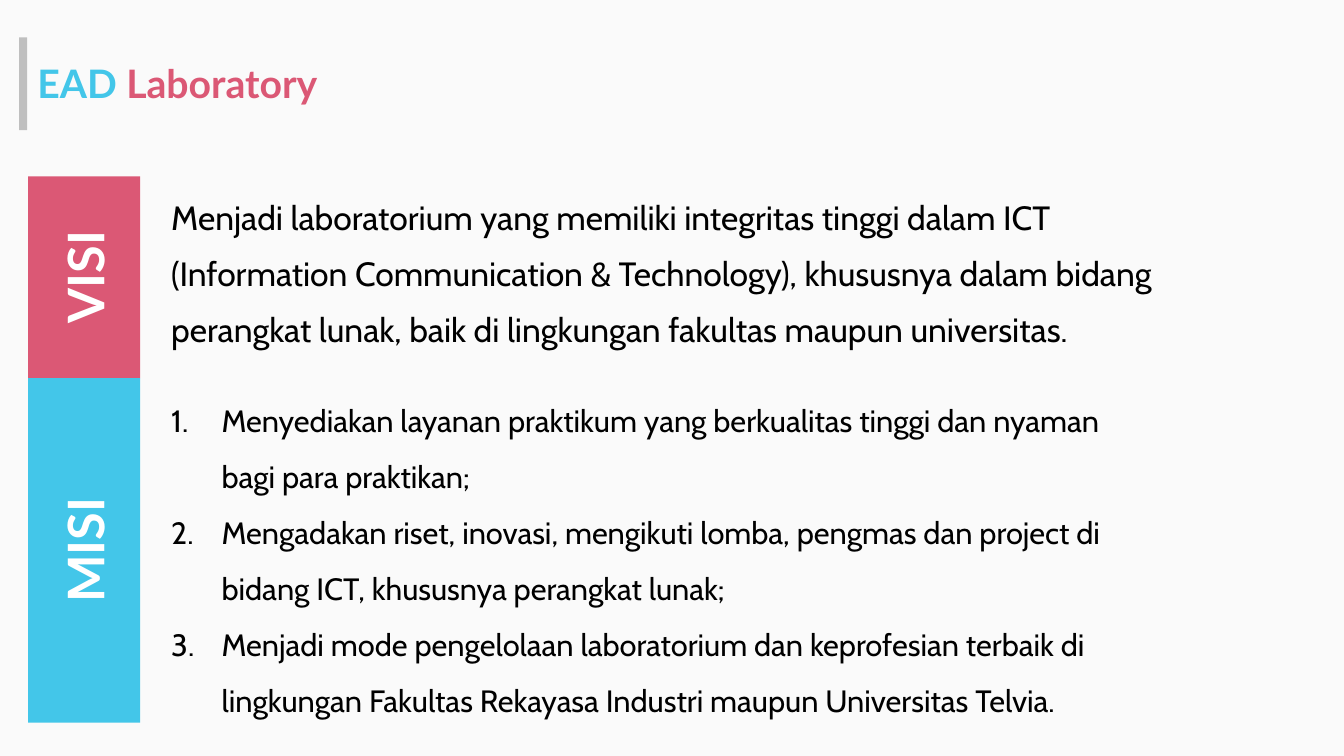
"""Build the vision and mission slide of the laboratory."""
from dataclasses import dataclass

from lxml import etree
from pptx import Presentation
from pptx import util as u
from pptx.dml.color import RGBColor
from pptx.enum import shapes, text
from pptx.oxml.ns import qn

COLOURS = {
    "paper": "FAFAFA",
    "accent": "BFBFBF",
    "rose": "DB5875",
    "sky": "43C6E9",
    "white": "FFFFFF",
    "ink": "000000",
}
BAND_LEFT, BAND_WIDTH = 0.28, 1.11
BODY_LEFT, HANGING = 1.6, 0.5


@dataclass(frozen=True)
class Section:
    """A coloured band with its heading and the body beside it."""

    heading: str
    colour: str
    top: float
    height: float
    body_top: float
    body_width: float
    body_height: float
    size: int
    numbered: bool
    statements: tuple[str, ...]


SECTIONS = (
    Section("VISI", "rose", 1.75, 2, 1.75, 10.52, 1.73, 24, False, (
        "Menjadi laboratorium yang memiliki integritas tinggi dalam ICT "
        "(Information Communication & Technology), khususnya dalam bidang "
        "perangkat lunak, baik di lingkungan fakultas maupun universitas.",
    )),
    Section("MISI", "sky", 3.75, 3.42, 3.75, 9.7, 3.41, 22, True, (
        "Menyediakan layanan praktikum yang berkualitas tinggi dan nyaman "
        "bagi para praktikan;",
        "Mengadakan riset, inovasi, mengikuti lomba, pengmas dan project di "
        "bidang ICT, khususnya perangkat lunak;",
        "Menjadi mode pengelolaan laboratorium dan keprofesian terbaik di "
        "lingkungan Fakultas Rekayasa Industri maupun Universitas Telvia.",
    )),
)


def rgb(colour: str) -> RGBColor:
    """Return the named colour."""
    return RGBColor.from_string(COLOURS[colour])


def apply(target, values: dict) -> None:
    """Set every format value on the target."""
    for name, value in values.items():
        setattr(target, name, value)


def add_words(paragraph, words: str, colour: str, face: str, size: int, bold: bool) -> None:
    """Append formatted words to a paragraph."""
    run = paragraph.add_run()
    run.text = words
    apply(run.font, {"name": face, "size": u.Pt(size), "bold": bold})
    run.font.color.rgb = rgb(colour)


def add_block(slide, left: float, top: float, width: float, height: float, colour: str):
    """Draw a plain filled rectangle."""
    block = slide.shapes.add_shape(
        shapes.MSO_SHAPE.RECTANGLE, *map(u.Inches, (left, top, width, height)))
    block.shadow.inherit = False
    block.fill.solid()
    block.fill.fore_color.rgb = rgb(colour)
    block.line.fill.background()
    return block


def number(paragraph) -> None:
    """Give a paragraph a hanging automatic number."""
    properties = paragraph._p.get_or_add_pPr()
    properties.set("marL", str(u.Inches(HANGING)))
    properties.set("indent", str(-u.Inches(HANGING)))
    etree.SubElement(properties, qn("a:buFont"), typeface="+mj-lt")
    etree.SubElement(properties, qn("a:buAutoNum"), type="arabicPeriod")


def add_title(slide) -> None:
    """Place and format the two-coloured title."""
    title = slide.shapes.title
    apply(title, {"left": u.Inches(0.27), "top": u.Inches(0.54),
                  "width": u.Inches(3.13), "height": u.Inches(0.57)})
    apply(title.text_frame, {"word_wrap": False,
                             "auto_size": text.MSO_AUTO_SIZE.SHAPE_TO_FIT_TEXT,
                             "vertical_anchor": text.MSO_ANCHOR.TOP})
    paragraph = title.text_frame.paragraphs[0]
    paragraph.alignment = text.PP_ALIGN.LEFT
    for words, colour in (("EAD ", "sky"), ("Laboratory", "rose")):
        add_words(paragraph, words, colour, "Lato", 28, True)


def add_band(slide, section: Section) -> None:
    """Draw the band turned a quarter left, with its heading."""
    left = BAND_LEFT + (BAND_WIDTH - section.height) / 2
    top = section.top + (section.height - BAND_WIDTH) / 2
    band = add_block(slide, left, top, section.height, BAND_WIDTH, section.colour)
    band.rotation = 270
    band.text_frame.vertical_anchor = text.MSO_ANCHOR.MIDDLE
    heading = band.text_frame.paragraphs[0]
    heading.alignment = text.PP_ALIGN.CENTER
    add_words(heading, section.heading, "white", "Lato", 36, True)


def add_body(slide, section: Section) -> None:
    """Write the statements of a section."""
    body = slide.shapes.add_textbox(*map(u.Inches, (
        BODY_LEFT, section.body_top, section.body_width, section.body_height)))
    frame = body.text_frame
    apply(frame, {"word_wrap": True, "auto_size": text.MSO_AUTO_SIZE.SHAPE_TO_FIT_TEXT})
    for index, statement in enumerate(section.statements):
        paragraph = frame.add_paragraph() if index else frame.paragraphs[0]
        paragraph.line_spacing = u.Pt(40)
        if section.numbered:
            number(paragraph)
        add_words(paragraph, statement, "ink", "Cabin", section.size, False)


def main() -> None:
    """Build and save the slide."""
    deck = Presentation()
    apply(deck, {"slide_width": u.Inches(13.33), "slide_height": u.Inches(7.5)})
    slide = deck.slides.add_slide(deck.slide_layouts[5])
    slide.background.fill.solid()
    slide.background.fill.fore_color.rgb = rgb("paper")
    add_title(slide)
    add_block(slide, 0.19, 0.37, 0.08, 0.92, "accent")
    for section in SECTIONS:
        add_body(slide, section)
        add_band(slide, section)
    deck.save("out.pptx")


if __name__ == "__main__":
    main()
